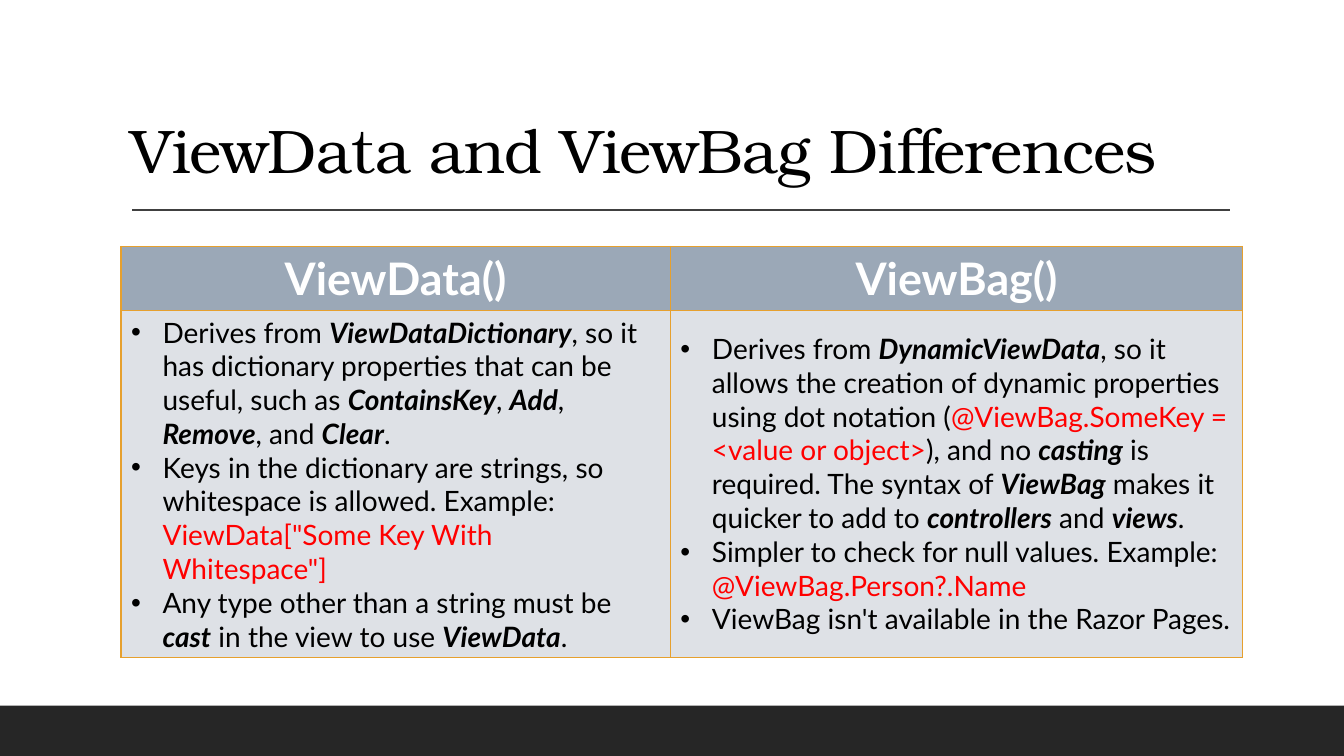
import pptx
import pptx.dml.color
import pptx.enum.shapes
import pptx.enum.text
import pptx.oxml
import pptx.oxml.ns
import pptx.util
from lxml import etree

Pt = pptx.util.Pt
qn = pptx.oxml.ns.qn

BODY_FONT = "Lato"
TITLE_FONT = "TeX Gyre Bonum"
BORDER = "E6A02E"
PLAIN, TERM, CODE = "plain", "term", "code"

HEADINGS = ["ViewData()", "ViewBag()"]
VIEWDATA_POINTS = [
    [("Derives from ", PLAIN), ("ViewDataDictionary", TERM),
     (", so it has dictionary properties that can be useful, such as ", PLAIN),
     ("ContainsKey", TERM), (", ", PLAIN), ("Add", TERM), (", ", PLAIN),
     ("Remove", TERM), (", and ", PLAIN), ("Clear", TERM), (".", PLAIN)],
    [("Keys in the dictionary are strings, so whitespace is allowed. Example: ", PLAIN),
     ('ViewData["Some Key With Whitespace"]', CODE)],
    [("Any type other than a string must be ", PLAIN), ("cast", TERM),
     (" in the view to use ", PLAIN), ("ViewData", TERM), (".", PLAIN)],
]
VIEWBAG_POINTS = [
    [("Derives from ", PLAIN), ("DynamicViewData", TERM),
     (", so it allows the creation of dynamic properties using dot notation (", PLAIN),
     ("@ViewBag.SomeKey = <value or object>", CODE), ("), and no ", PLAIN),
     ("casting", TERM), (" is required. The syntax of ", PLAIN), ("ViewBag", TERM),
     (" makes it quicker to add to ", PLAIN), ("controllers", TERM),
     (" and ", PLAIN), ("views", TERM), (".", PLAIN)],
    [("Simpler to check for null values. Example: ", PLAIN),
     ("@ViewBag.Person?.Name", CODE)],
    [("ViewBag isn't available in the Razor Pages.", PLAIN)],
]


def color(hex_string):
    return pptx.dml.color.RGBColor.from_string(hex_string)


def style_font(font, name, size, hex_string, bold=False, italic=False):
    font.name = name
    font.size = Pt(size)
    font.color.rgb = color(hex_string)
    font.bold = bold
    font.italic = italic


def add_footer_band(slide, left, top, width, height):
    band = slide.shapes.add_shape(
        pptx.enum.shapes.MSO_SHAPE.RECTANGLE, Pt(left), Pt(top), Pt(width), Pt(height))
    band.shadow.inherit = False
    band.fill.solid()
    band.fill.fore_color.rgb = color("262626")
    band.line.fill.background()


def add_title(slide, left, top, width, height):
    """Title sitting on the bottom of its box, with a rule below it."""
    title = slide.shapes.add_textbox(Pt(left), Pt(top), Pt(width), Pt(height))
    text_frame = title.text_frame
    text_frame.word_wrap = True
    text_frame.vertical_anchor = pptx.enum.text.MSO_ANCHOR.BOTTOM
    text_frame.text = "ViewData and ViewBag Differences"
    paragraph = text_frame.paragraphs[0]
    paragraph.line_spacing = 0.9
    run = paragraph.runs[0]
    style_font(run.font, TITLE_FONT, 44, "000000")
    run.font._element.set("spc", "-50")

    rule_left, rule_top = left + 8, top + height + 13
    rule = slide.shapes.add_connector(
        pptx.enum.shapes.MSO_CONNECTOR.STRAIGHT,
        Pt(rule_left), Pt(rule_top), Pt(rule_left + 784.5), Pt(rule_top))
    rule.line.color.rgb = color("404040")
    rule.line.width = Pt(1)
    etree.SubElement(rule._element.spPr, qn("a:effectLst"))


def style_cell(cell, fill):
    cell.vertical_anchor = pptx.enum.text.MSO_ANCHOR.MIDDLE
    properties = cell._tc.get_or_add_tcPr()
    for side in ("a:lnL", "a:lnR", "a:lnT", "a:lnB"):
        border = etree.SubElement(properties, qn(side), w=str(Pt(1)))
        border_fill = etree.SubElement(border, qn("a:solidFill"))
        etree.SubElement(border_fill, qn("a:srgbClr"), val=BORDER)
    cell.fill.solid()
    cell.fill.fore_color.rgb = color(fill)


def write_heading(cell, heading):
    cell.text_frame.text = heading
    paragraph = cell.text_frame.paragraphs[0]
    paragraph.alignment = pptx.enum.text.PP_ALIGN.CENTER
    style_font(paragraph.runs[0].font, BODY_FONT, 32, "FFFFFF", bold=True)


def write_points(cell, points):
    text_frame = cell.text_frame
    text_frame.text = "\n".join("" for _ in points)
    for paragraph, segments in zip(text_frame.paragraphs, points):
        properties = paragraph._p.get_or_add_pPr()
        properties.set("marL", str(Pt(22.5)))
        properties.set("indent", str(Pt(-22.5)))
        etree.SubElement(properties, qn("a:buFont"), typeface="Arial")
        etree.SubElement(properties, qn("a:buChar"), char="•")
        for text, kind in segments:
            run = paragraph.add_run()
            run.text = text
            style_font(run.font, BODY_FONT, 20, "FF0000" if kind == CODE else "000000",
                       bold=kind == TERM, italic=kind == TERM)


def add_comparison(slide, left, top, column_widths, row_heights):
    table = slide.shapes.add_table(
        2, 2, Pt(left), Pt(top), Pt(sum(column_widths)), Pt(sum(row_heights))).table
    for column, width in zip(table.columns, column_widths):
        column.width = Pt(width)
    for row, height in zip(table.rows, row_heights):
        row.height = Pt(height)
    for index, points in enumerate([VIEWDATA_POINTS, VIEWBAG_POINTS]):
        heading_cell, points_cell = table.cell(0, index), table.cell(1, index)
        style_cell(heading_cell, "9BA8B7")
        write_heading(heading_cell, HEADINGS[index])
        style_cell(points_cell, "DEE1E6")
        write_points(points_cell, points)


def main():
    presentation = pptx.Presentation()
    presentation.slide_width = Pt(960)
    presentation.slide_height = Pt(540)
    slide = presentation.slides.add_slide(presentation.slide_layouts[6])
    add_footer_band(slide, 0, 504, 960, 36)
    add_title(slide, 86.4, 22.5, 792, 114.5)
    add_comparison(slide, 86.4, 176, [392.4, 409], [45, 248])
    presentation.save("out.pptx")


if __name__ == "__main__":
    main()
